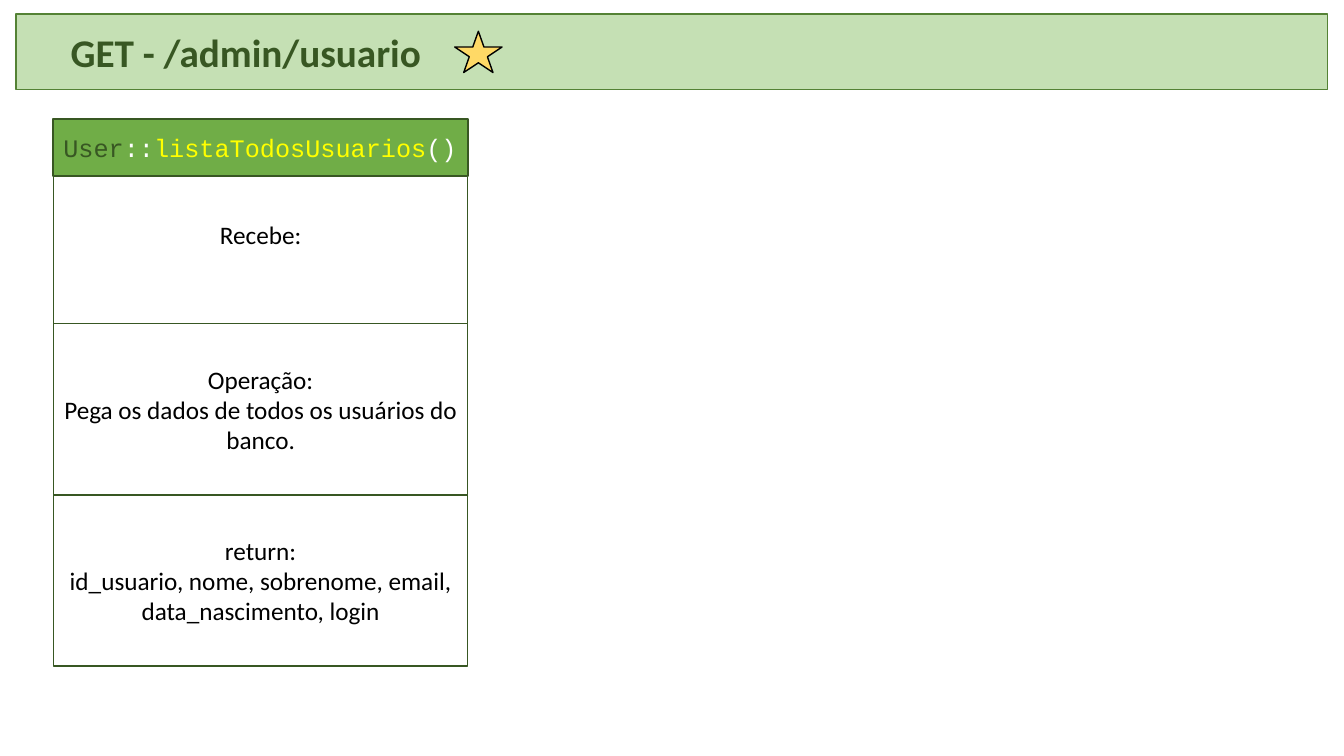
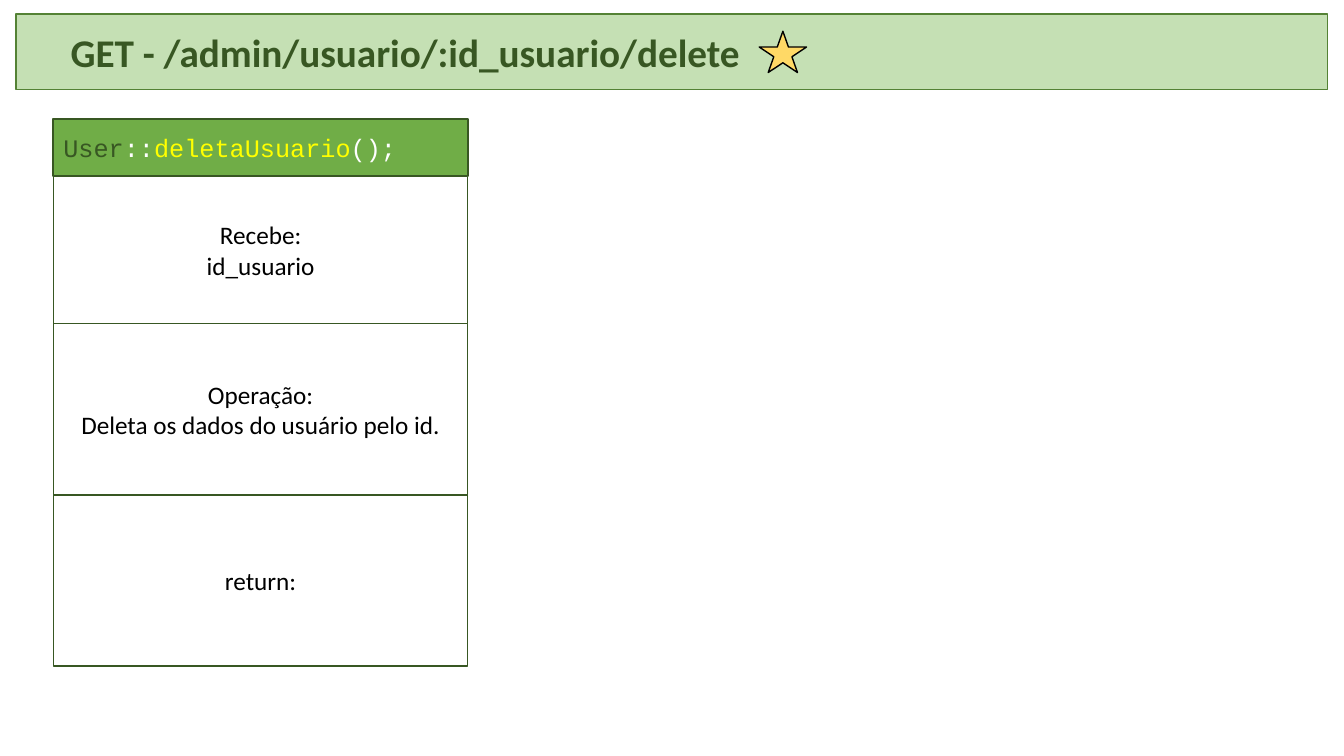
from pptx import Presentation
from pptx.dml.color import RGBColor
from pptx.enum.shapes import MSO_SHAPE
from pptx.enum.text import MSO_ANCHOR, MSO_AUTO_SIZE, PP_ALIGN
from pptx.util import Inches, Pt

DARK_GREEN = "385723"
MID_GREEN = "70AD47"
BAND_GREEN = "C5E0B4"
BAND_EDGE = "548235"
GOLD = "FFD966"
YELLOW = "FFFF00"
WHITE = "FFFFFF"
BLACK = "000000"

BAND = (0.16, 0.14, 13.01, 0.75)
CARD = (0.53, 1.18, 4.11)
SIGNATURE_HEIGHT = 0.57
FIELD_HEIGHTS = (1.46, 1.7, 1.7)
LINE_HEIGHT = 0.3


def color(hex_code):
    return RGBColor.from_string(hex_code)


def paint(shape, fill, edge, weight=1):
    shape.fill.solid()
    shape.fill.fore_color.rgb = color(fill)
    shape.line.color.rgb = color(edge)
    shape.line.width = Pt(weight)


def add_block(slide, preset, box, fill, edge, weight=1):
    block = slide.shapes.add_shape(preset, *map(Inches, box))
    block.shadow.inherit = False
    paint(block, fill, edge, weight)
    return block


def write_text(shape, paragraphs, size=18, font="Calibri", bold=False,
               align=PP_ALIGN.LEFT, left=0.1, bottom=0.05):
    frame = shape.text_frame
    frame.word_wrap = True
    frame.auto_size = MSO_AUTO_SIZE.NONE
    frame.vertical_anchor = MSO_ANCHOR.MIDDLE
    frame.margin_left = Inches(left)
    frame.margin_bottom = Inches(bottom)
    for index, pieces in enumerate(paragraphs):
        paragraph = frame.add_paragraph() if index else frame.paragraphs[0]
        paragraph.alignment = align
        for text, ink in pieces:
            run = paragraph.add_run()
            run.text = text
            run.font.size = Pt(size)
            run.font.name = font
            run.font.bold = bold
            run.font.color.rgb = color(ink)


def add_route_band(slide, box, route, star_offset):
    left, top, width, height = box
    title = slide.shapes.title
    title.left, title.top, title.width, title.height = map(Inches, box)
    paint(title, BAND_GREEN, BAND_EDGE)
    write_text(title, [[(route, DARK_GREEN)]], size=28, bold=True, left=0.54)
    add_block(slide, MSO_SHAPE.STAR_5_POINT,
              (left + star_offset, top + 0.17, 0.47, 0.41), GOLD, BLACK)


def add_method_card(slide, box, method, call, fields):
    left, top, width = box
    signature = add_block(slide, MSO_SHAPE.RECTANGLE,
                          (left, top, width, SIGNATURE_HEIGHT),
                          MID_GREEN, DARK_GREEN, 1.5)
    write_text(signature, [[("User", DARK_GREEN), ("::", WHITE),
                            (method, YELLOW), (call, WHITE)]],
               font="Courier New")
    top += SIGNATURE_HEIGHT
    for (lines, reserved_lines), height in zip(fields, FIELD_HEIGHTS):
        field = add_block(slide, MSO_SHAPE.RECTANGLE,
                          (left, top, width, height), WHITE, DARK_GREEN)
        write_text(field, [[(line, BLACK)] for line in lines],
                   align=PP_ALIGN.CENTER,
                   bottom=0.05 + reserved_lines * LINE_HEIGHT)
        top += height


def add_route_slide(deck, route, star_offset, method, call, fields):
    slide = deck.slides.add_slide(deck.slide_layouts[5])
    add_route_band(slide, BAND, route, star_offset)
    add_method_card(slide, CARD, method, call, fields)


def main():
    deck = Presentation()
    deck.slide_width = Inches(13.33)
    deck.slide_height = Inches(7.5)
    add_route_slide(
        deck, "GET - /admin/usuario", 4.35, "listaTodosUsuarios", "()",
        [(["Recebe:"], 1),
         (["Operação:", "Pega os dados de todos os usuários do banco."], 0),
         (["return:",
           "id_usuario, nome, sobrenome, email, data_nascimento, login"], 0)])
    add_route_slide(
        deck, "GET - /admin/usuario/:id_usuario/delete", 7.37,
        "deletaUsuario", "();",
        [(["Recebe:", "id_usuario"], 0),
         (["Operação:", "Deleta os dados do usuário pelo id."], 0),
         (["return:"], 0)])
    deck.save("out.pptx")


if __name__ == "__main__":
    main()
